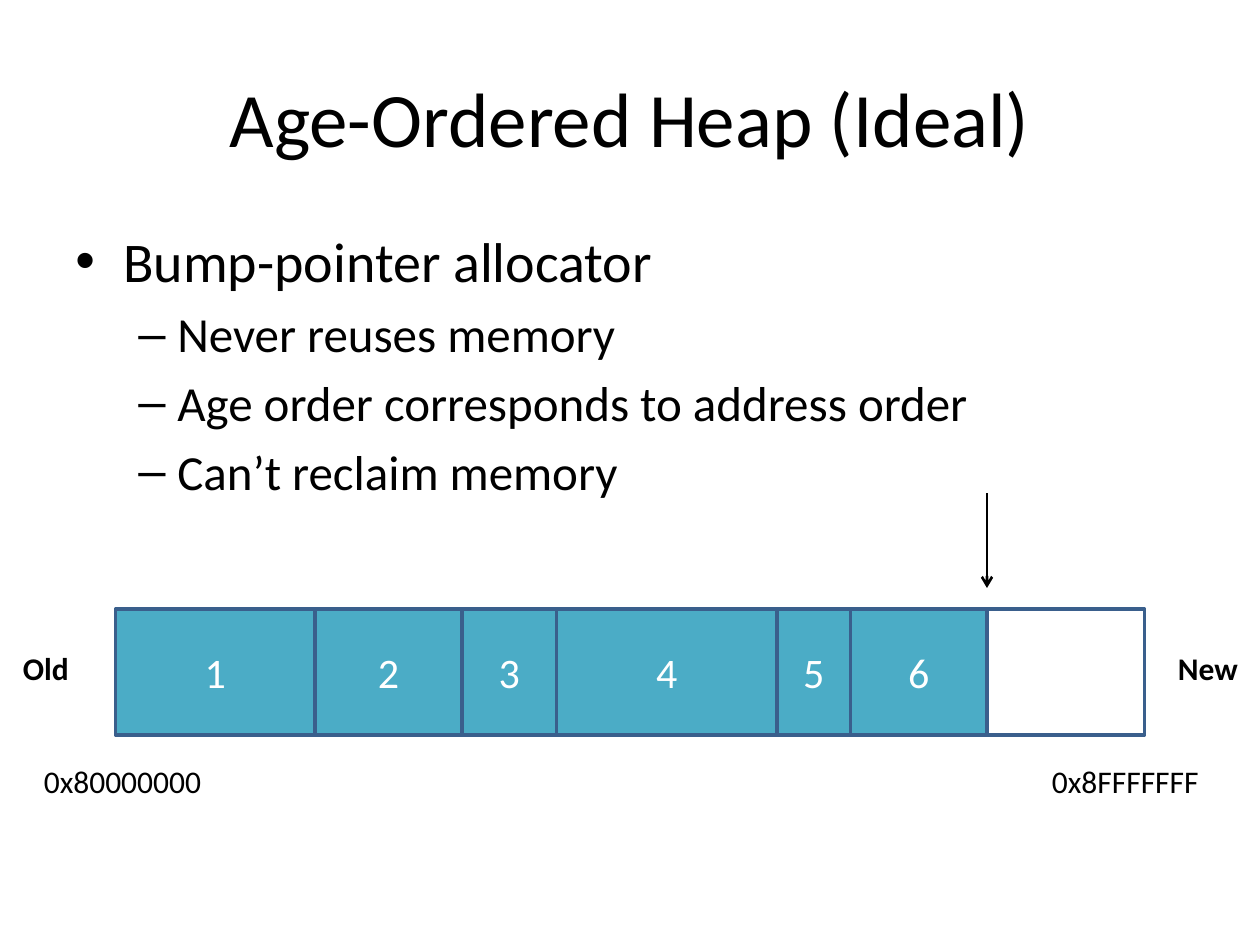
from pptx import Presentation
from pptx import util as u
from pptx.dml.color import RGBColor
from pptx.enum import shapes, text
from pptx.oxml.ns import qn
from lxml import etree

FONT, BLACK, WHITE, TEAL, NAVY = "Calibri", "000000", "FFFFFF", "4BACC6", "3A5F8C"
COLS, ROWS = 120, 90
MID = {"vertical_anchor": text.MSO_ANCHOR.MIDDLE}
CENTER = {"alignment": text.PP_ALIGN.CENTER}


def rgb(value):
    """Turn a hex string into a colour."""
    return RGBColor.from_string(value)


def apply(obj, values):
    """Set attributes from a dict of format values."""
    for name, value in values.items():
        setattr(obj, name, value)


class Deck:
    """Hold the presentation, its grid and the current slide."""

    def __init__(self, width, height):
        """Start a deck with one blank slide."""
        self.prs = Presentation()
        self.prs.slide_width, self.prs.slide_height = u.Inches(width), u.Inches(height)
        self.unit_x = self.prs.slide_width / COLS
        self.unit_y = self.prs.slide_height / ROWS
        self.s = self.prs.slides.add_slide(self.prs.slide_layouts[6])

    def place(self, *cells):
        """Turn column, row pairs into lengths."""
        return [u.Emu(round(c * (self.unit_y if i % 2 else self.unit_x)))
                for i, c in enumerate(cells)]

    def add_words(self, p, words, size, color=BLACK, bold=False, **fmt):
        """Add one run to a paragraph."""
        apply(p, fmt)
        r = p.add_run()
        r.text = words
        apply(r.font, {"name": FONT, "size": u.Pt(size), "bold": bold})
        r.font.color.rgb = rgb(color)

    def box(self, at, wrap=True, **frame):
        """Add an empty text box and return its frame."""
        tf = self.s.shapes.add_textbox(*self.place(*at)).text_frame
        apply(tf, {"word_wrap": wrap, **frame})
        return tf

    def label(self, at, words, size, bold=False, fmt=None, **frame):
        """Add a text box with one line."""
        self.add_words(self.box(at, **frame).paragraphs[0], words, size, bold=bold,
                       **(fmt or {}))

    def bullets(self, at, items, styles):
        """Add a bulleted list; styles give size, mark, left and hanging indent."""
        tf = self.box(at)
        for i, (level, words) in enumerate(items):
            size, mark, left, hang = styles[level]
            p = tf.add_paragraph() if i else tf.paragraphs[0]
            self.add_words(p, words, size, level=level, space_before=u.Pt(size * 0.2))
            pr = p._p.get_or_add_pPr()
            pr.set("marL", str(u.Inches(left)))
            pr.set("indent", str(-u.Inches(hang)))
            etree.SubElement(pr, qn("a:buFont")).set("typeface", "Arial")
            etree.SubElement(pr, qn("a:buChar")).set("char", mark)

    def block(self, at, words, fill):
        """Add an outlined rectangle with an optional centred label."""
        sp = self.s.shapes.add_shape(shapes.MSO_SHAPE.RECTANGLE, *self.place(*at))
        sp.shadow.inherit = False
        sp.fill.solid()
        sp.fill.fore_color.rgb = rgb(fill)
        sp.line.color.rgb = rgb(NAVY)
        sp.line.width = u.Pt(2)
        apply(sp.text_frame, MID)
        if words:
            self.add_words(sp.text_frame.paragraphs[0], words, 24, WHITE, **CENTER)

    def arrow(self, ends):
        """Add a straight arrow."""
        c = self.s.shapes.add_connector(shapes.MSO_CONNECTOR.STRAIGHT, *self.place(*ends))
        c.line.color.rgb = rgb(BLACK)
        c.line.width = u.Pt(1.5)
        ln = c._element.spPr.find(qn("a:ln"))
        etree.SubElement(ln, qn("a:tailEnd")).set("type", "arrow")
        etree.SubElement(c._element.spPr, qn("a:effectLst"))


def main():
    """Build the heap slide."""
    deck = Deck(10, 7.5)
    deck.label((6, 3.6, 108, 15), "Age-Ordered Heap (Ideal)", 44, fmt=CENTER, **MID)
    deck.bullets((6, 21, 108, 59.4),
                 [(0, "Bump-pointer allocator"),
                  (1, "Never reuses memory"),
                  (1, "Age order corresponds to address order"),
                  (1, "Can’t reclaim memory")],
                 [(32, "•", 0.38, 0.38), (28, "–", 0.81, 0.31)])

    left, top, height = 11, 58, 12
    for number, width in enumerate((19, 14, 9, 21, 7, 13), 1):
        deck.block((left, top, width, height), str(number), TEAL)
        left += width
    deck.block((left, top, 15, height), "", WHITE)

    for col, row, width, words, bold in ((3, 72, 17.5, "0x80000000", False),
                                         (99, 72, 16.5, "0x8FFFFFFF", False),
                                         (1, 61.2, 6.8, "Old", True),
                                         (111, 61.2, 8.2, "New", True)):
        deck.label((col, row, width, 4.8), words, 18, bold, wrap=False,
                   auto_size=text.MSO_AUTO_SIZE.SHAPE_TO_FIT_TEXT)
    deck.arrow((left, 47, left, 56))
    deck.prs.save("out.pptx")


main()
